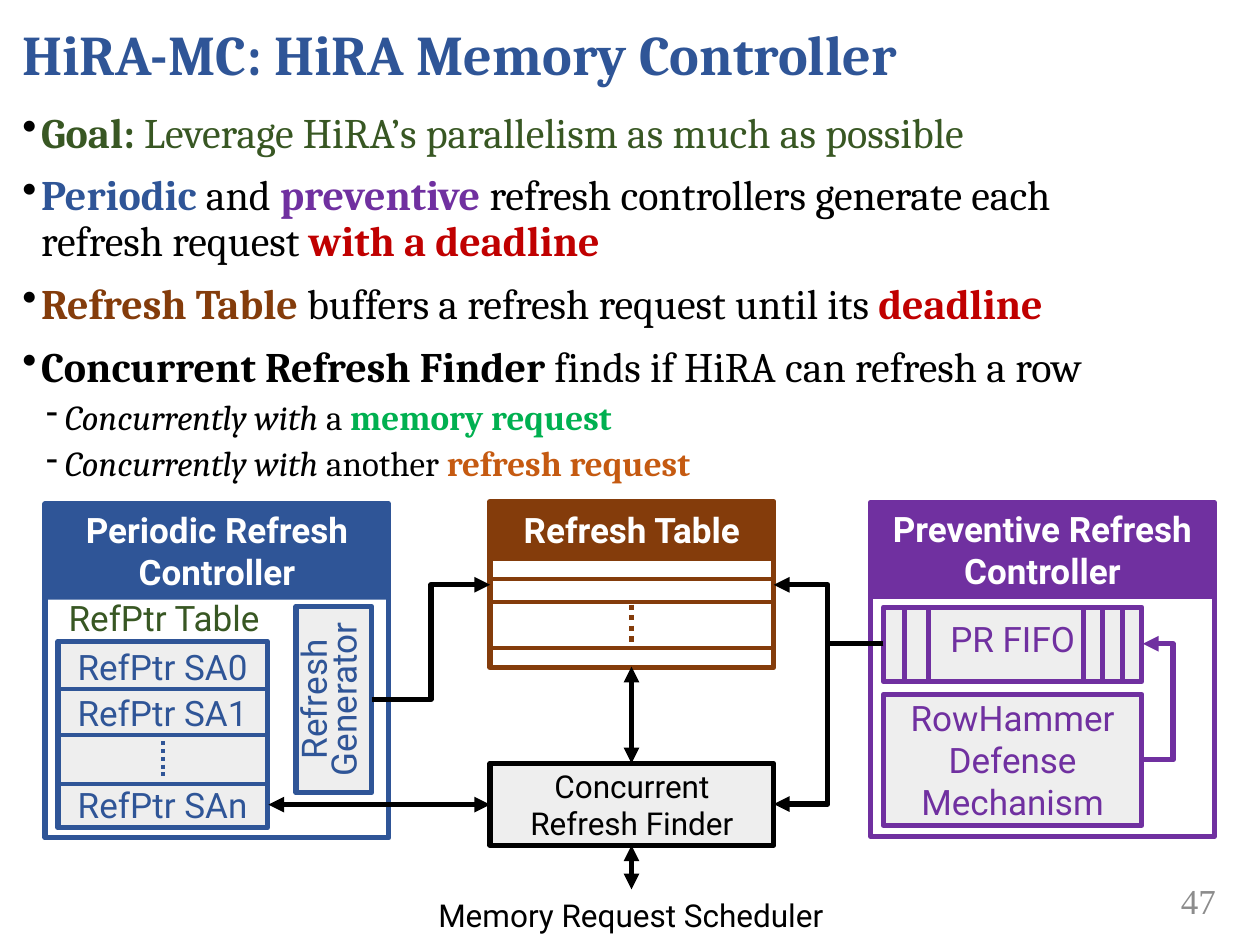
from lxml import etree
from pptx import Presentation
from pptx import util as u
from pptx.dml.color import RGBColor
from pptx.enum import dml, shapes, text
from pptx.oxml.ns import qn

COLORS = {
    "blue": "2F5597", "purple": "7030A0", "brown": "843C0B", "olive": "385723",
    "red": "C00000", "green": "00B050", "orange": "C55A11", "black": "000000",
    "white": "FFFFFF", "panel": "EEEEEE", "number": "8C8C8C",
}
CENTER = text.PP_ALIGN.CENTER
TOP, MIDDLE = text.MSO_ANCHOR.TOP, text.MSO_ANCHOR.MIDDLE

BULLETS = [
    (0, [("Goal: ", "olive", "b"),
         ("Leverage HiRA’s parallelism as much as possible", "olive", "")]),
    (0, [("Periodic", "blue", "b"), (" and ", "black", ""), ("preventive", "purple", "b"),
         (" refresh controllers generate each\nrefresh request ", "black", ""),
         ("with a deadline", "red", "b")]),
    (0, [("Refresh Table ", "brown", "b"),
         ("buffers a refresh request until its ", "black", ""), ("deadline", "red", "b")]),
    (0, [("Concurrent Refresh Finder ", "black", "b"),
         ("finds if HiRA can refresh a row", "black", "")]),
    (1, [("Concurrently with ", "black", "i"), ("a", "black", ""),
         (" memory request", "green", "b")]),
    (1, [("Concurrently with ", "black", "i"), ("another", "black", ""),
         (" refresh request", "orange", "b")]),
]


def rgb(name):
    return RGBColor.from_string(COLORS[name])


def add_run(p, words, size, color, font="Roboto", style=""):
    for i, line in enumerate(words.split("\n")):
        if i:
            p.add_line_break()
        r = p.add_run()
        r.text = line
        r.font.size = u.Pt(size)
        r.font.name = font
        r.font.bold = "b" in style
        r.font.italic = "i" in style
        r.font.color.rgb = rgb(color)


def write(sp, words, size, color, font="Roboto", style="", align=CENTER,
          anchor=MIDDLE, spacing=None):
    tf = sp.text_frame
    tf.word_wrap = True
    tf.vertical_anchor = anchor
    p = tf.paragraphs[0]
    p.alignment = align
    if spacing:
        p.line_spacing = u.Pt(spacing)
    add_run(p, words, size, color, font, style)


def add_label(s, box, words, size, color, **options):
    sp = s.shapes.add_textbox(*map(u.Cm, box))
    write(sp, words, size, color, **options)


def add_box(s, box, fill, line, width=3):
    sp = s.shapes.add_shape(shapes.MSO_SHAPE.RECTANGLE, *map(u.Cm, box))
    sp.shadow.inherit = False
    sp.fill.solid()
    sp.fill.fore_color.rgb = rgb(fill)
    if line:
        sp.line.color.rgb = rgb(line)
        sp.line.width = u.Pt(width)
    else:
        sp.line.fill.background()
    return sp


def add_line(s, start, end, color, width=3, via=None, ends=(), dotted=False):
    kind = shapes.MSO_CONNECTOR.STRAIGHT if via is None else shapes.MSO_CONNECTOR.ELBOW
    sp = s.shapes.add_connector(kind, *map(u.Cm, start + end))
    sp.line.color.rgb = rgb(color)
    sp.line.width = u.Pt(width)
    if dotted:
        sp.line.dash_style = dml.MSO_LINE.ROUND_DOT
    props = sp._element.spPr
    if via is not None:
        bend = round((via - start[0]) / (end[0] - start[0]) * 100000)
        guides = props.find(qn("a:prstGeom")).get_or_add_avLst()
        etree.SubElement(guides, qn("a:gd"), name="adj1", fmla=f"val {bend}")
    for name in ends:
        etree.SubElement(props.find(qn("a:ln")), qn(f"a:{name}"), type="triangle")
    etree.SubElement(props, qn("a:effectLst"))


def add_bullets(s, box):
    tf = s.shapes.add_textbox(*map(u.Cm, box)).text_frame
    tf.word_wrap = True
    for i, (level, runs) in enumerate(BULLETS):
        p = tf.paragraphs[0] if i == 0 else tf.add_paragraph()
        props = p._p.get_or_add_pPr()
        props.set("marL", str(u.Cm((0.38, 0.86)[level])))
        props.set("indent", str(u.Cm(-0.38)))
        color = etree.SubElement(props, qn("a:buClr"))
        etree.SubElement(color, qn("a:srgbClr"), val=COLORS["black"])
        etree.SubElement(props, qn("a:buChar"), char="•-"[level])
        p.level = level
        p.line_spacing = 0.9
        if i:
            p.space_before = u.Pt((10, 5)[level])
        for words, tint, style in runs:
            add_run(p, words, (24, 20)[level], tint, "Cambria", style)


def add_panel(s, left, top, color, title, outline=None):
    add_box(s, (left, top, 6.93, 6.73), "white", color)
    header = add_box(s, (left, top - 0.03, 6.93, 1.96), color, outline, 0.75)
    write(header, title, 20, "white", style="b", anchor=TOP)


def add_periodic_controller(s):
    add_panel(s, 0.91, 10.16, "blue", "Periodic Refresh\nController")
    generator = add_box(s, (4.85, 13.34, 3.76, 1.52), "panel", "blue")
    generator.rotation = 270
    write(generator, "Refresh Generator", 20, "blue", spacing=17)
    add_label(s, (0.91, 11.91, 4.8, 1.12), "RefPtr Table", 20, "olive", anchor=TOP)
    add_box(s, (1.17, 12.93, 4.22, 3.76), "panel", "blue")
    for y in (13.89, 14.81, 15.8):
        add_line(s, (1.17, y), (5.39, y), "blue", 2.25)
    add_line(s, (3.28, 14.94), (3.28, 15.67), "blue", 2.25, dotted=True)
    for name, y in (("SA0", 12.88), ("SA1", 13.82), ("SAn", 15.67)):
        add_label(s, (0.88, y, 4.8, 1.12), f"RefPtr {name}", 20, "blue", anchor=TOP)


def add_preventive_controller(s):
    add_panel(s, 17.55, 10.13, "purple", "Preventive Refresh\nController", "purple")
    fifo = add_box(s, (17.81, 12.24, 5.21, 1.5), "panel", "purple")
    write(fifo, "PR FIFO", 20, "purple", spacing=17)
    for x in (18.24, 18.72, 21.84, 22.23, 22.63):
        add_line(s, (x, 12.24), (x, 13.74), "purple")
    defense = add_box(s, (17.81, 14, 5.21, 2.64), "panel", "purple")
    write(defense, "RowHammer", 20, "purple")
    p = defense.text_frame.add_paragraph()
    p.alignment = CENTER
    add_run(p, "Defense Mechanism", 20, "purple")
    add_line(s, (23.01, 15.32), (23.04, 12.98), "purple", via=23.65, ends=["tailEnd"])


def add_refresh_table(s):
    add_box(s, (9.88, 10.11, 5.72, 3.35), "white", "brown")
    header = add_box(s, (9.88, 10.13, 5.72, 1.12), "brown", "brown")
    write(header, "Refresh Table", 20, "white", style="b", anchor=TOP)
    for y in (11.68, 12.14, 13.06):
        add_line(s, (9.88, y), (15.6, y), "brown", 2.25)
    add_line(s, (12.73, 12.19), (12.73, 13.03), "brown", dotted=True)


def add_flow(s):
    finder = add_box(s, (9.88, 15.39, 5.72, 1.65), "panel", "black")
    write(finder, "Concurrent Refresh Finder", 18, "black")
    add_label(s, (7.87, 17.93, 9.7, 1.02), "Memory Request Scheduler", 18, "black")
    for start, end, via in (
        ((17.81, 12.98), (15.6, 11.79), 16.69),
        ((17.81, 12.98), (15.6, 16.21), 16.69),
        ((7.49, 14.1), (9.88, 11.79), 8.69),
    ):
        add_line(s, start, end, "black", via=via, ends=["tailEnd"])
    for start, end in (
        ((5.41, 16.22), (9.88, 16.22)),
        ((12.73, 13.44), (12.73, 15.39)),
        ((12.73, 17.04), (12.73, 17.93)),
    ):
        add_line(s, start, end, "black", ends=["headEnd", "tailEnd"])


def main():
    prs = Presentation()
    prs.slide_width, prs.slide_height = u.Cm(25.4), u.Cm(19.05)
    s = prs.slides.add_slide(prs.slide_layouts[6])
    add_label(s, (0.2, 0, 24.97, 2.13), "HiRA-MC: HiRA Memory Controller", 32, "blue",
              font="Cambria", style="b", align=text.PP_ALIGN.LEFT)
    add_bullets(s, (0.2, 2.13, 24.97, 8.53))
    add_periodic_controller(s)
    add_preventive_controller(s)
    add_refresh_table(s)
    add_flow(s)
    add_label(s, (22.02, 17.65, 2.74, 1.02), "47", 20, "number",
              font="Times New Roman", align=text.PP_ALIGN.RIGHT)
    prs.save("out.pptx")


if __name__ == "__main__":
    main()
